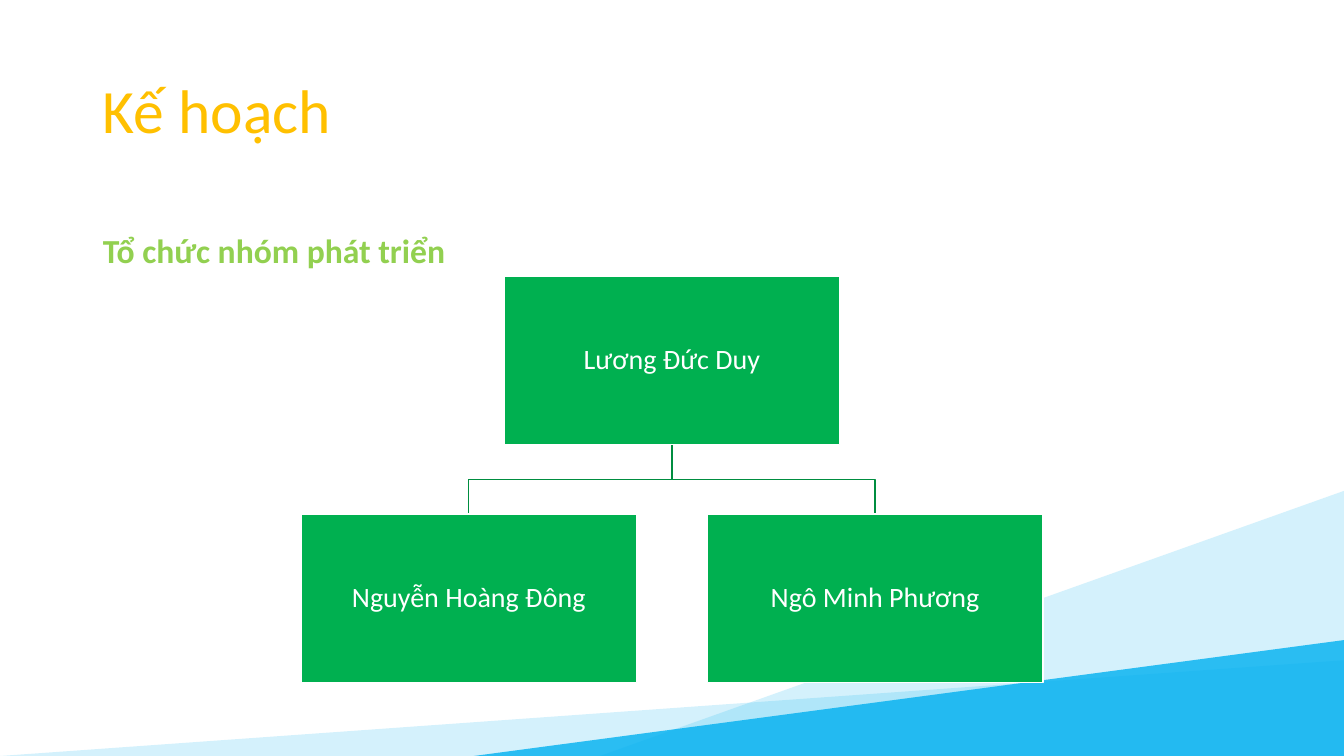
"""Builds the slide showing how the development team is organised."""
import lxml.etree
import pptx
import pptx.dml.color
import pptx.enum.shapes
import pptx.enum.text
import pptx.oxml.ns
import pptx.util

Inches = pptx.util.Inches
Pt = pptx.util.Pt
ALIGN = pptx.enum.text.PP_ALIGN
ANCHOR = pptx.enum.text.MSO_ANCHOR
SHAPE = pptx.enum.shapes.MSO_SHAPE
qn = pptx.oxml.ns.qn


def paint(color_format, color):
    color_format.rgb = pptx.dml.color.RGBColor.from_string(color)


def write(frame, text, size, color, align, anchor, bold=False):
    frame.text = text
    frame.word_wrap = True
    frame.auto_size = pptx.enum.text.MSO_AUTO_SIZE.NONE
    frame.vertical_anchor = anchor
    paragraph = frame.paragraphs[0]
    paragraph.alignment = align
    paragraph.line_spacing = 0.9
    paragraph.font.name = "Calibri"
    paragraph.font.size = Pt(size)
    paragraph.font.bold = bold
    paint(paragraph.font.color, color)
    return paragraph


presentation = pptx.Presentation()
presentation.slide_width = Inches(13.33)
presentation.slide_height = Inches(7.5)
slide = presentation.slides.add_slide(presentation.slide_layouts[1])

for left, top, opacity in [(0, 6.55, 17), (5.95, 4.87, 17), (4.7, 6.35, 80)]:
    wedge = slide.shapes.add_shape(
        SHAPE.RIGHT_TRIANGLE, Inches(left), Inches(top), Inches(13.33 - left), Inches(7.5 - top))
    wedge.shadow.inherit = False
    wedge.line.fill.background()
    wedge.fill.solid()
    paint(wedge.fill.fore_color, "00B0F0")
    properties = wedge._element.spPr
    properties.find(qn("a:xfrm")).set("flipH", "1")
    tint = properties.find(qn("a:solidFill")).find(qn("a:srgbClr"))
    lxml.etree.SubElement(tint, qn("a:alpha")).set("val", str(opacity * 1000))

title = slide.shapes.title
title.left, title.top, title.width, title.height = map(Inches, (0.92, 0.4, 11.5, 1.45))
write(title.text_frame, "Kế hoạch", 44, "FFC000", ALIGN.LEFT, ANCHOR.MIDDLE)

subtitle = slide.placeholders[1]
subtitle.left, subtitle.top, subtitle.width, subtitle.height = map(Inches, (0.92, 1.84, 11.5, 0.9))
heading = write(subtitle.text_frame, "Tổ chức nhóm phát triển", 24, "92D050",
                ALIGN.LEFT, ANCHOR.BOTTOM, bold=True)
heading.space_before = Pt(10)
heading_properties = heading._p.get_or_add_pPr()
heading_properties.set("marL", "0")
heading_properties.set("indent", "0")
lxml.etree.SubElement(heading_properties, qn("a:buNone"))
heading_properties.append(heading_properties.find(qn("a:defRPr")))

box_width, box_height = Inches(3.33), Inches(1.67)
leader_top, member_top = Inches(2.74), Inches(5.1)
leader_center = Inches(6.665)
branch_offset = Inches(2.015)
leader_bottom = leader_top + box_height
branch_y = (leader_bottom + member_top) // 2

for member_center in (leader_center + branch_offset, leader_center - branch_offset):
    outline = slide.shapes.build_freeform(leader_center, leader_bottom)
    outline.add_line_segments(
        [(leader_center, branch_y), (member_center, branch_y), (member_center, member_top)],
        close=False)
    branch = outline.convert_to_shape()
    branch.shadow.inherit = False
    branch.fill.background()
    branch.line.width = Pt(1)
    paint(branch.line.color, "008D40")

for person, center, top in [
    ("Lương Đức Duy", leader_center, leader_top),
    ("Nguyễn Hoàng Đông", leader_center - branch_offset, member_top),
    ("Ngô Minh Phương", leader_center + branch_offset, member_top),
]:
    box = slide.shapes.add_shape(
        SHAPE.RECTANGLE, center - box_width // 2, top, box_width, box_height)
    box.shadow.inherit = False
    box.fill.solid()
    paint(box.fill.fore_color, "00B050")
    box.line.width = Pt(1)
    paint(box.line.color, "FFFFFF")
    frame = box.text_frame
    frame.margin_left = frame.margin_right = frame.margin_top = frame.margin_bottom = Inches(0.01)
    write(frame, person, 20, "FFFFFF", ALIGN.CENTER, ANCHOR.MIDDLE)

presentation.save("out.pptx")
